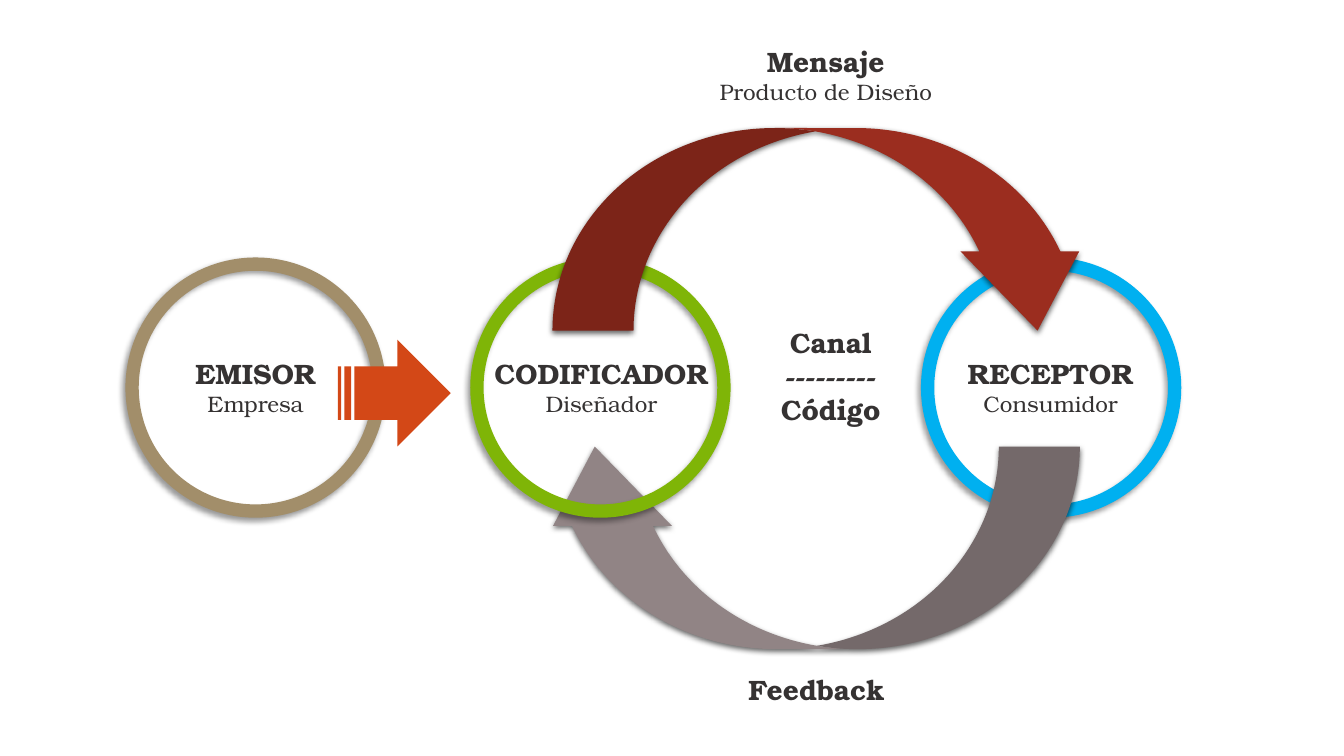
import pptx
import pptx.dml.color
import pptx.enum.shapes
import pptx.enum.text
import pptx.oxml
import pptx.oxml.ns
import pptx.util

Inches = pptx.util.Inches
Pt = pptx.util.Pt
RGBColor = pptx.dml.color.RGBColor
ShapeKind = pptx.enum.shapes.MSO_SHAPE

INK = RGBColor(0x35, 0x32, 0x32)
SAND = RGBColor(0xA2, 0x8E, 0x6A)
GREEN = RGBColor(0x7F, 0xB5, 0x07)
BLUE = RGBColor(0x00, 0xB0, 0xF0)
ORANGE = RGBColor(0xD3, 0x48, 0x17)
RED = RGBColor(0x9B, 0x2D, 0x1F)
GREY = RGBColor(0x91, 0x84, 0x85)

RING_TOP = 2.62
RING_SIZE = 2.45
ROLE_TOP = 3.49


class Diagram:
    font = "TeX Gyre Bonum"
    heading_size = Pt(20)
    detail_size = Pt(16)

    def __init__(self, slide):
        self.slide = slide

    def add_shape(self, kind, left, top, width, height):
        shape = self.slide.shapes.add_shape(
            kind, Inches(left), Inches(top), Inches(width), Inches(height))
        shape.shadow.inherit = False
        return shape

    def add_shadow(self, shape, opacity, distance, direction):
        effects = shape._element.spPr.find(pptx.oxml.ns.qn("a:effectLst"))
        effects.append(pptx.oxml.parse_xml(
            f'<a:outerShdw {pptx.oxml.ns.nsdecls("a")} blurRad="{Pt(4)}" '
            f'dist="{Pt(distance)}" dir="{direction * 60000}" algn="ctr" rotWithShape="0">'
            f'<a:srgbClr val="000000"><a:alpha val="{opacity * 1000}"/></a:srgbClr>'
            '</a:outerShdw>'))

    def add_ring(self, left, color):
        ring = self.add_shape(ShapeKind.OVAL, left, RING_TOP, RING_SIZE, RING_SIZE)
        ring.fill.background()
        ring.line.color.rgb = color
        ring.line.width = Pt(9.5)
        self.add_shadow(ring, 40, 3, 135)

    def add_arrow(self, kind, left, top, width, height, color):
        arrow = self.add_shape(kind, left, top, width, height)
        arrow.fill.solid()
        arrow.fill.fore_color.rgb = color
        arrow.line.fill.background()
        return arrow

    def add_curved_arrow(self, left, top, color, rotation=0):
        arrow = self.add_arrow(ShapeKind.CURVED_DOWN_ARROW, left, top, 5.4, 2.01, color)
        arrow.rotation = rotation
        for index, value in enumerate((0.4, 0.586, 0.391)):
            arrow.adjustments[index] = value
        self.add_shadow(arrow, 60, 1.5, 90)

    def add_label(self, left, top, width, height, headings, detail=None, wrap=True):
        box = self.slide.shapes.add_textbox(
            Inches(left), Inches(top), Inches(width), Inches(height))
        frame = box.text_frame
        frame.word_wrap = wrap
        frame.auto_size = pptx.enum.text.MSO_AUTO_SIZE.SHAPE_TO_FIT_TEXT
        lines = [(heading, self.heading_size, True) for heading in headings]
        if detail:
            lines.append((detail, self.detail_size, False))
        for index, (text, size, bold) in enumerate(lines):
            paragraph = frame.add_paragraph() if index else frame.paragraphs[0]
            paragraph.alignment = pptx.enum.text.PP_ALIGN.CENTER
            run = paragraph.add_run()
            run.text = text
            run.font.name = self.font
            run.font.size = size
            run.font.bold = bold
            run.font.color.rgb = INK


def main():
    presentation = pptx.Presentation()
    presentation.slide_width = Inches(13.33)
    presentation.slide_height = Inches(7.5)
    diagram = Diagram(presentation.slides.add_slide(presentation.slide_layouts[6]))

    diagram.add_ring(9.2, BLUE)
    diagram.add_ring(1.31, SAND)
    diagram.add_label(1.69, ROLE_TOP, 1.69, 0.79, ["EMISOR"], "Empresa")
    diagram.add_label(9.34, ROLE_TOP, 2.16, 0.79, ["RECEPTOR"], "Consumidor")
    diagram.add_label(6.95, 0.39, 2.48, 0.79, ["Mensaje"], "Producto de Diseño", wrap=False)
    diagram.add_label(7.25, 6.62, 1.7, 0.49, ["Feedback"], wrap=False)
    diagram.add_curved_arrow(5.31, 4.43, GREY, rotation=180)
    diagram.add_label(7.26, 3.18, 1.96, 1.24, ["Canal", "---------", "Código"])
    diagram.add_ring(4.73, GREEN)
    diagram.add_label(4.56, ROLE_TOP, 2.81, 0.79, ["CODIFICADOR"], "Diseñador")
    diagram.add_arrow(ShapeKind.STRIPED_RIGHT_ARROW, 3.35, 3.37, 1.12, 1.06, ORANGE)
    diagram.add_curved_arrow(5.48, 1.27, RED)

    presentation.save("out.pptx")


if __name__ == "__main__":
    main()
